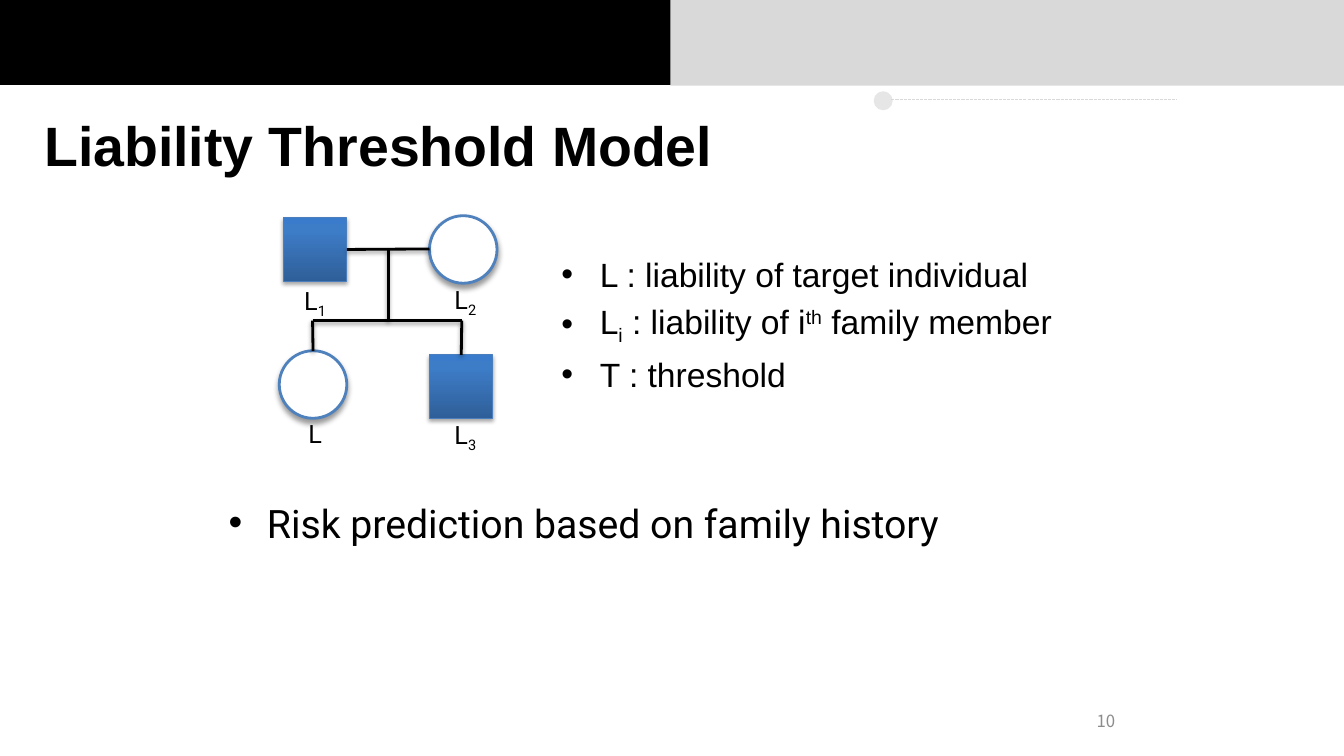
from copy import deepcopy

from lxml import etree
from pptx import Presentation
from pptx.dml.color import RGBColor
from pptx.enum import dml, shapes, text
from pptx.oxml.ns import qn
from pptx.util import Inches, Pt

BLACK, GREY, BLUE = "000000", "D9D9D9", "4F81BD"
SHAPE, LINE = shapes.MSO_SHAPE, shapes.MSO_CONNECTOR
ALIGN, ANCHOR = text.PP_ALIGN, text.MSO_ANCHOR


def rgb(value):
    return RGBColor.from_string(value)


def write(box, paragraphs, size, font, color=BLACK, align=None, bullet=False):
    """Fill a box with paragraphs, each a list of (text, baseline percent)."""
    frame = box.text_frame
    frame.word_wrap = True
    for index, spans in enumerate(paragraphs):
        para = frame.paragraphs[0] if index == 0 else frame.add_paragraph()
        para.alignment = align
        if bullet:
            if index:
                para.space_before = Pt(size * 0.2)
            properties = para._p.get_or_add_pPr()
            properties.set("marL", str(Inches(0.38)))
            properties.set("indent", str(-Inches(0.38)))
            etree.SubElement(properties, qn("a:buFont"), typeface="Arial")
            etree.SubElement(properties, qn("a:buChar"), char="•")
        for words, baseline in spans:
            span = para.add_run()
            span.text = words
            for name, value in {"size": Pt(size), "name": font}.items():
                setattr(span.font, name, value)
            span.font.color.rgb = rgb(color)
            if baseline:
                span._r.get_or_add_rPr().set("baseline", str(baseline * 1000))


deck = Presentation()
deck.slide_width, deck.slide_height = Inches(13.33), Inches(7.5)
page = deck.slides.add_slide(deck.slide_layouts[5])

# Header bars and the marker below them: shape, left, top, width, height, colour, line
decorations = [
    (SHAPE.RECTANGLE, 0, 0, 6.65, 0.84, BLACK, 0.75),
    (SHAPE.RECTANGLE, 6.65, 0, 6.69, 0.85, GREY, 0),
    (SHAPE.OVAL, 8.68, 0.92, 0.16, 0.16, "E6E6E6", 2),
]
for kind, left, top, width, height, color, weight in decorations:
    shape = page.shapes.add_shape(kind, Inches(left), Inches(top), Inches(width), Inches(height))
    shape.shadow.inherit = False
    shape.fill.solid()
    shape.fill.fore_color.rgb = rgb(color)
    if weight:
        shape.line.color.rgb = rgb(color)
        shape.line.width = Pt(weight)
    else:
        shape.line.fill.background()

rule = page.shapes.add_connector(LINE.STRAIGHT, Inches(8.84), Inches(0.99), Inches(11.67), Inches(0.99))
rule.line.color.rgb = rgb(GREY)
rule.line.width = Pt(0.75)
rule.line.dash_style = dml.MSO_LINE.SQUARE_DOT
etree.SubElement(rule._element.spPr, qn("a:effectLst"))

title = page.shapes.title
title.left, title.top, title.width, title.height = Inches(0.34), Inches(1.04), Inches(12), Inches(0.79)
title.text_frame.vertical_anchor = ANCHOR.MIDDLE
write(title, [[("Liability Threshold Model", 0)]], 39.6, "Arial", align=ALIGN.LEFT)
title.text_frame.paragraphs[0].runs[0].font.bold = True

# Family members: affected, left, top, label left, label top, label index
pedigree = {
    "father": (True, 2.81, 2.16, 2.85, 2.78, "1"),
    "mother": (False, 4.26, 2.14, 4.34, 2.77, "2"),
    "target": (False, 2.77, 3.48, 2.85, 4.1, ""),
    "brother": (True, 4.26, 3.52, 4.34, 4.11, "3"),
}
members, shadowed = {}, []
for name, (affected, left, top, label_left, label_top, index) in pedigree.items():
    side = Inches(0.63 if affected else 0.67)
    kind = SHAPE.RECTANGLE if affected else SHAPE.OVAL
    member = page.shapes.add_shape(kind, Inches(left), Inches(top), side, side)
    if affected:
        member.fill.gradient()
        member.fill.gradient_angle = 90
        last_stop = member._element.spPr.findall(".//" + qn("a:gs"))[-1]
        last_stop.addnext(deepcopy(last_stop))
        colors = [(0, "2F5F99"), (0.8, "3D7CC7"), (1, "3A7CCB")]
        for stop, (position, color) in zip(member.fill.gradient_stops, colors):
            stop.position = position
            stop.color.rgb = rgb(color)
    else:
        member.fill.solid()
        member.fill.fore_color.rgb = rgb("FFFFFF")
    member.line.color.rgb = rgb("4B7EBC" if affected else BLUE)
    member.line.width = Pt(0.75 if affected else 2)
    shadowed.append((member, *((35, 3.1, 1.8) if affected else (40, 4, 3))))
    members[name] = member

    label = page.shapes.add_textbox(Inches(label_left), Inches(label_top), Inches(0.55), Inches(0.4))
    spans = [("L", 0)] + ([(index, -25)] if index else [])
    write(label, [spans], 18, "Roboto", align=ALIGN.CENTER)

# Family lines: ends, then the member and side that each end joins
links = [
    (3.44, 2.47, 4.26, 2.47, ("father", 3), None),
    (3.1, 3.48, 3.1, 3.18, ("target", 0), None),
    (4.58, 3.52, 4.58, 3.18, ("brother", 0), None),
    (3.1, 3.18, 4.58, 3.18, None, None),
    (3.85, 2.47, 3.85, 3.18, None, None),
]
for x1, y1, x2, y2, start, end in links:
    link = page.shapes.add_connector(LINE.STRAIGHT, Inches(x1), Inches(y1), Inches(x2), Inches(y2))
    if start:
        link.begin_connect(members[start[0]], start[1])
    if end:
        link.end_connect(members[end[0]], end[1])
    link.line.color.rgb = rgb(BLACK)
    link.line.width = Pt(2)
    shadowed.append((link, 38, 3.1, 1.6))

for item, opacity, blur, distance in shadowed:
    effects = etree.SubElement(item._element.spPr, qn("a:effectLst"))
    shadow = etree.SubElement(
        effects, qn("a:outerShdw"), blurRad=str(Pt(blur)), dist=str(Pt(distance)),
        dir="5400000", rotWithShape="0")
    tint = etree.SubElement(shadow, qn("a:srgbClr"), val=BLACK)
    etree.SubElement(tint, qn("a:alpha"), val=str(opacity * 1000))

legend = page.shapes.add_textbox(Inches(5.47), Inches(2.47), Inches(5.92), Inches(4.58))
write(legend, [
    [("L : liability of target individual", 0)],
    [("L", 0), ("i", -25), (" : liability of i", 0), ("th", 30), (" family member", 0)],
    [("T : threshold", 0)],
], 24, "Arial", bullet=True)

summary = page.shapes.add_textbox(Inches(2.17), Inches(4.9), Inches(9), Inches(2.16))
write(summary, [[("Risk prediction based on family history", 0)]], 28, "Roboto", bullet=True)

number = page.shapes.add_textbox(Inches(8.83), Inches(6.95), Inches(2.33), Inches(0.4))
number.text_frame.vertical_anchor = ANCHOR.MIDDLE
write(number, [[("10", 0)]], 12, "Noto Sans CJK KR", "8C8C8C", ALIGN.RIGHT)

deck.save("out.pptx")
